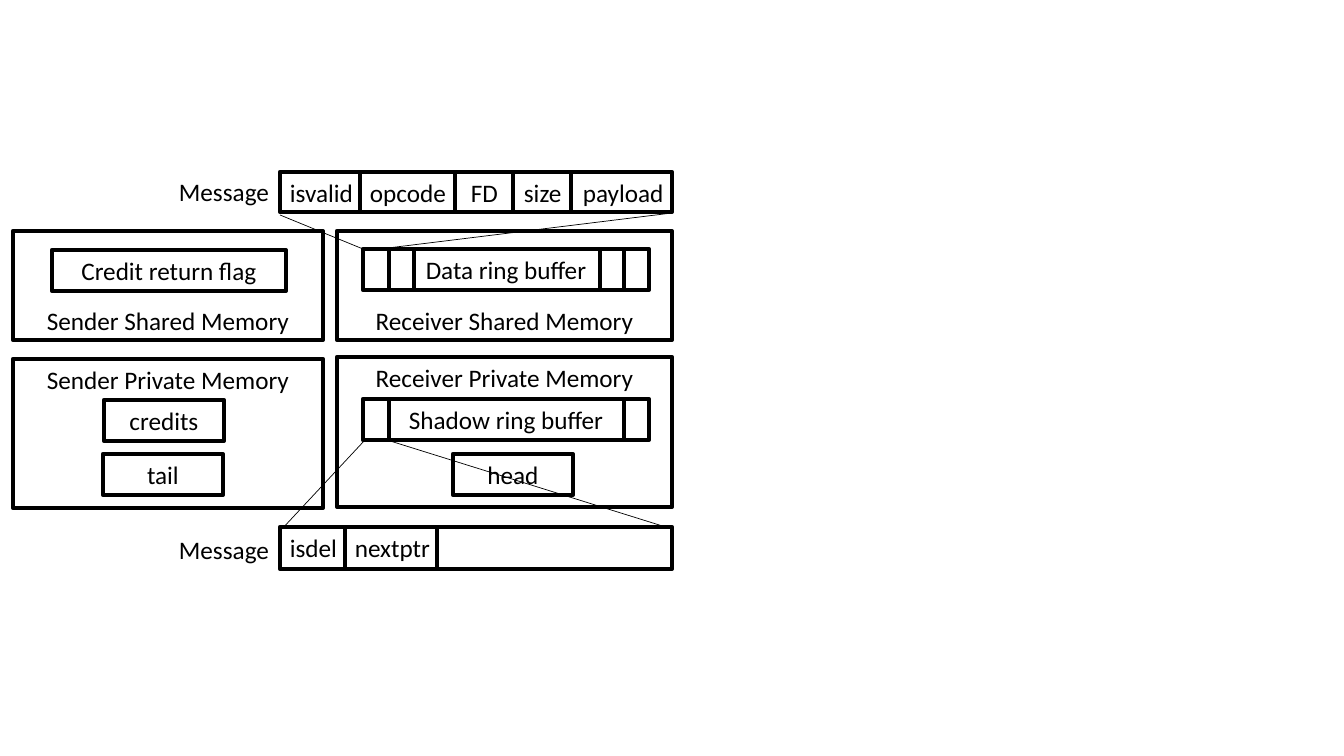
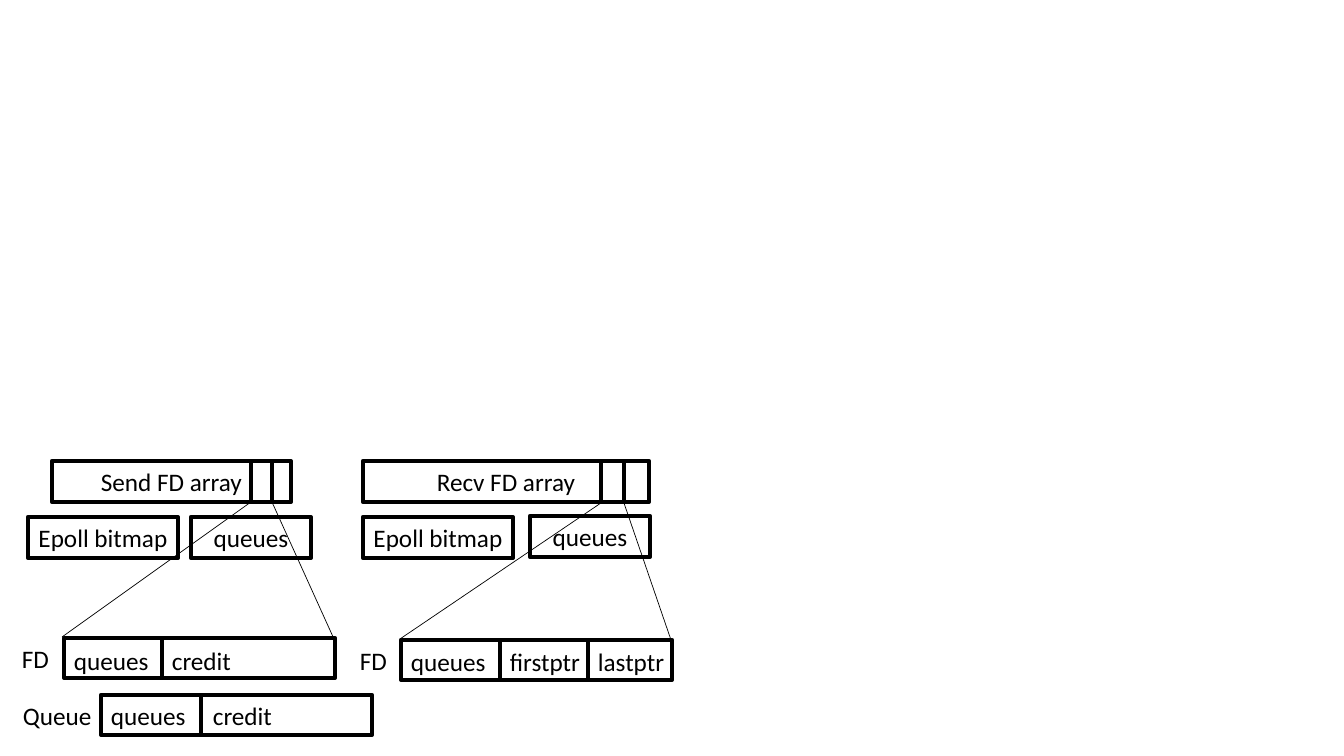
from dataclasses import dataclass

from lxml import etree
from pptx import Presentation
from pptx.dml.color import RGBColor
from pptx.enum.shapes import MSO_CONNECTOR, MSO_SHAPE
from pptx.enum.text import MSO_ANCHOR, MSO_AUTO_SIZE, PP_ALIGN
from pptx.oxml.ns import qn
from pptx.slide import Slide
from pptx.text.text import TextFrame
from pptx.util import Pt

PIXEL = 914400 / 100.8
PAGE_WIDTH, PAGE_HEIGHT = 1344, 756
BLANK_LAYOUT = 6

BLACK = RGBColor(0x00, 0x00, 0x00)
WHITE = RGBColor(0xFF, 0xFF, 0xFF)
FONT = "Calibri"
FONT_SIZE = 18
THICK, THIN = 3, 0.5

RECTANGLE = MSO_SHAPE.RECTANGLE
STRAIGHT = MSO_CONNECTOR.STRAIGHT
TOP, MIDDLE, BOTTOM = MSO_ANCHOR.TOP, MSO_ANCHOR.MIDDLE, MSO_ANCHOR.BOTTOM
LEFT, CENTER = PP_ALIGN.LEFT, PP_ALIGN.CENTER
FIT_SHAPE = MSO_AUTO_SIZE.SHAPE_TO_FIT_TEXT

ROW_HEIGHT = 41
RECORD_HEIGHT = 40
FIELD_WIDTH = 115
VARIABLE_WIDTH = 120
BITMAP_WIDTH = 150
RING_LEFT, RING_WIDTH = 363, 286


@dataclass(frozen=True)
class Box:
    """A framed rectangle with centred text and vertical dividers."""
    left: int
    top: int
    width: int
    text: str = ""
    height: int = ROW_HEIGHT
    anchor: MSO_ANCHOR = MIDDLE
    dividers: tuple[int, ...] = ()


@dataclass(frozen=True)
class Field:
    """One cell of a record, from its left edge; gap moves the text."""
    left: int
    text: str = ""
    gap: int = 0


@dataclass(frozen=True)
class Record:
    """A framed row of fields; drop lowers their text."""
    left: int
    top: int
    width: int
    fields: tuple[Field, ...]
    height: int = RECORD_HEIGHT
    drop: int = 0


@dataclass(frozen=True)
class Label:
    """The name standing in front of a record."""
    left: int
    top: int
    width: int
    text: str


@dataclass(frozen=True)
class Link:
    """A straight line between two points."""
    start: tuple[int, int]
    end: tuple[int, int]


@dataclass(frozen=True)
class Diagram:
    """Everything on one page."""
    boxes: tuple[Box, ...]
    records: tuple[Record, ...]
    labels: tuple[Label, ...]
    links: tuple[Link, ...]


MEMORY = Diagram(
    boxes=(
        Box(337, 231, 335, "Receiver Shared Memory", 109, BOTTOM),
        Box(RING_LEFT, 249, RING_WIDTH, "Data ring buffer",
            dividers=(389, 414, 600, 624)),
        Box(13, 231, 310, "Sender Shared Memory", 109, BOTTOM),
        Box(52, 250, 234, "Credit return flag"),
        Box(337, 357, 335, "Receiver Private Memory", 150, TOP),
        Box(RING_LEFT, 399, RING_WIDTH, "Shadow ring buffer",
            dividers=(389, 624)),
        Box(13, 359, 310, "Sender Private Memory", 149, TOP),
        Box(104, 400, VARIABLE_WIDTH, "credits"),
        Box(103, 454, VARIABLE_WIDTH, "tail"),
        Box(453, 454, VARIABLE_WIDTH, "head"),
    ),
    records=(
        Record(280, 172, 392, (
            Field(280, "isvalid"), Field(360, "opcode"), Field(455, "FD", 6),
            Field(513, "size", 1), Field(571, "payload", 2))),
        Record(280, 527, 392, (
            Field(280, "isdel"), Field(345, "nextptr"), Field(437)),
            height=42),
    ),
    labels=(
        Label(169, 171, 111, "Message"),
        Label(169, 529, 111, "Message"),
    ),
    links=(
        Link((280, 215), (363, 249)),
        Link((388, 248), (672, 213)),
        Link((282, 529), (365, 440)),
        Link((672, 529), (387, 440)),
    ),
)

DESCRIPTORS = Diagram(
    boxes=(
        Box(RING_LEFT, 461, RING_WIDTH, "Recv FD array", dividers=(601, 624)),
        Box(RING_LEFT, 517, BITMAP_WIDTH, "Epoll bitmap"),
        Box(530, 516, VARIABLE_WIDTH, "queues"),
        Box(52, 461, 239, "Send FD array", dividers=(251, 272)),
        Box(191, 517, VARIABLE_WIDTH, "queues"),
        Box(28, 517, BITMAP_WIDTH, "Epoll bitmap"),
    ),
    records=(
        Record(401, 640, 271, (
            Field(401, "queues"), Field(500, "firstptr"),
            Field(588, "lastptr")), drop=1),
        Record(64, 638, 271, (
            Field(64, "queues"), Field(162, "credit")), drop=2),
        Record(101, 695, 271, (
            Field(101, "queues"), Field(201, "credit", 2))),
    ),
    labels=(
        Label(350, 640, 47, "FD"),
        Label(12, 638, 47, "FD"),
        Label(13, 695, 90, "Queue"),
    ),
    links=(
        Link((671, 640), (624, 503)),
        Link((400, 639), (601, 503)),
        Link((334, 639), (272, 502)),
        Link((62, 637), (251, 502)),
    ),
)


def emu(pixels: int) -> int:
    """Turn pixels into EMU."""
    return round(pixels * PIXEL)


def write(frame: TextFrame, text: str, *, align: PP_ALIGN = LEFT,
          anchor: MSO_ANCHOR = TOP, wrap: bool = True) -> None:
    """Put one line of text in a frame."""
    frame.word_wrap = wrap
    frame.vertical_anchor = anchor
    para = frame.paragraphs[0]
    para.alignment = align
    span = para.add_run()
    span.text = text
    span.font.name = FONT
    span.font.size = Pt(FONT_SIZE)
    span.font.color.rgb = BLACK


def draw_line(page: Slide, start: tuple[int, int], end: tuple[int, int],
              weight: float) -> None:
    """Draw a plain black line."""
    connector = page.shapes.add_connector(
        STRAIGHT, *(emu(value) for value in (*start, *end)))
    connector.line.color.rgb = BLACK
    connector.line.width = Pt(weight)
    properties = connector._element.find(qn("p:spPr"))
    etree.SubElement(properties, qn("a:effectLst"))


def draw_box(page: Slide, box: Box) -> None:
    """Draw a box, its text and its dividers."""
    shape = page.shapes.add_shape(
        RECTANGLE, emu(box.left), emu(box.top), emu(box.width), emu(box.height))
    shape.shadow.inherit = False
    shape.fill.solid()
    shape.fill.fore_color.rgb = WHITE
    shape.line.color.rgb = BLACK
    shape.line.width = Pt(THICK)
    if box.text:
        write(shape.text_frame, box.text, align=CENTER, anchor=box.anchor)
    for divider in box.dividers:
        draw_line(page, (divider, box.top), (divider, box.top + box.height), THICK)


def draw_label(page: Slide, label: Label, wrap: bool = False) -> None:
    """Draw text without a frame."""
    holder = page.shapes.add_textbox(
        emu(label.left), emu(label.top), emu(label.width), emu(RECORD_HEIGHT))
    write(holder.text_frame, label.text, wrap=wrap)
    holder.text_frame.auto_size = FIT_SHAPE


def draw_record(page: Slide, record: Record) -> None:
    """Draw a record, divided before each field but the first."""
    dividers = tuple(field.left for field in record.fields[1:])
    draw_box(page, Box(record.left, record.top, record.width,
                       height=record.height, dividers=dividers))
    for field in record.fields:
        if field.text:
            draw_label(page, Label(field.left + field.gap, record.top + record.drop,
                                   FIELD_WIDTH, field.text), wrap=True)


def draw_diagram(page: Slide, diagram: Diagram) -> None:
    """Draw a diagram with its links in front."""
    for box in diagram.boxes:
        draw_box(page, box)
    for record in diagram.records:
        draw_record(page, record)
    for label in diagram.labels:
        draw_label(page, label)
    for link in diagram.links:
        draw_line(page, link.start, link.end, THIN)


def main() -> None:
    """Build the deck."""
    deck = Presentation()
    deck.slide_width = emu(PAGE_WIDTH)
    deck.slide_height = emu(PAGE_HEIGHT)
    for diagram in (MEMORY, DESCRIPTORS):
        page = deck.slides.add_slide(deck.slide_layouts[BLANK_LAYOUT])
        draw_diagram(page, diagram)
    deck.save("out.pptx")


main()
